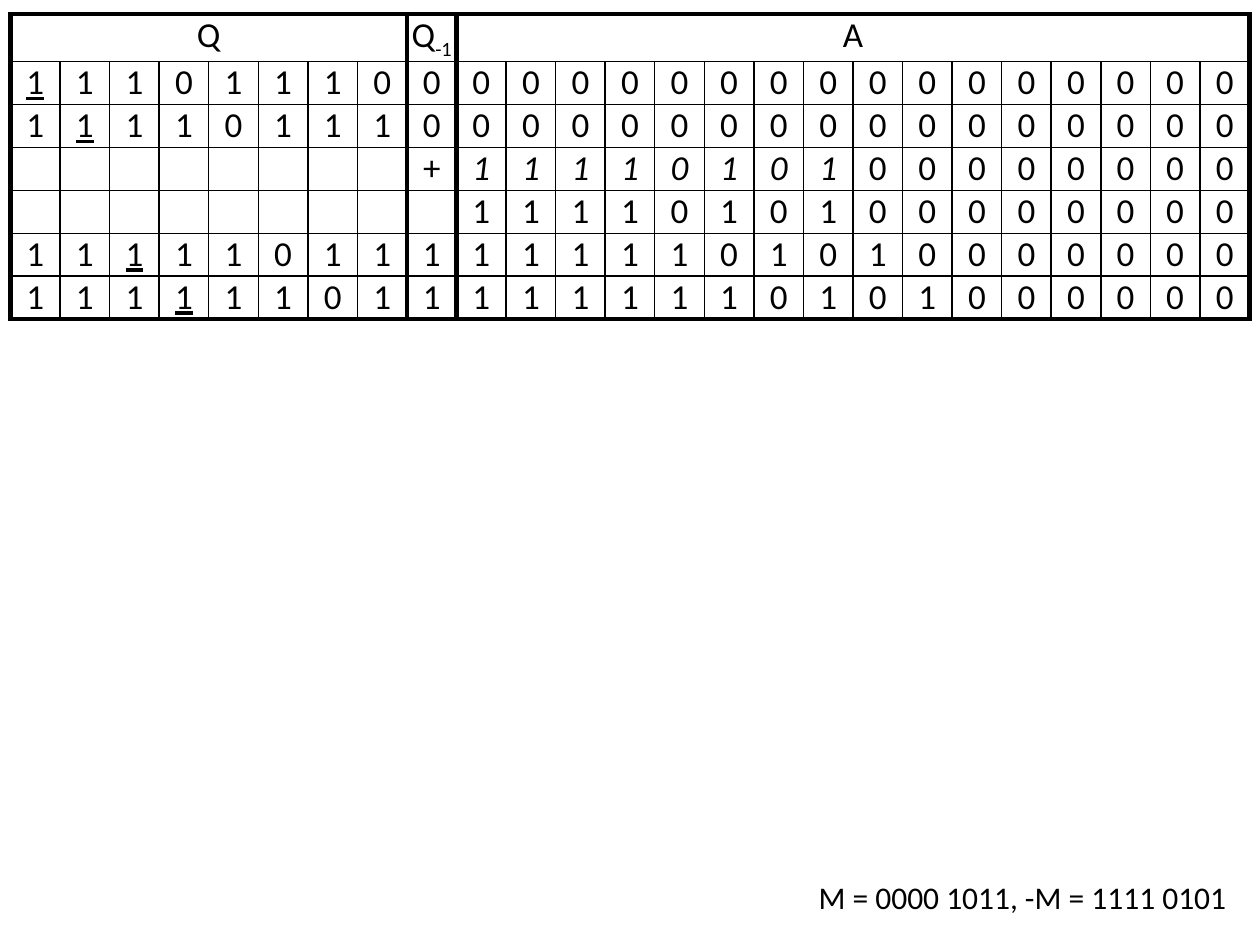
from lxml import etree
from pptx import Presentation
from pptx import util as u
from pptx.dml import color
from pptx.enum import text
from pptx.oxml import ns

# Header blocks as (label, subscript, column count)
BLOCKS = [("Q", "", 8), ("Q", "-1", 1), ("A", "", 16)]
BLOCK_EDGES = {0, 8, 9, 25}

# Steps as (Q, Q-1, A, underlined column, italic columns)
NONE = range(0)
STEPS = [
    ("11101110", "0", "0000000000000000", 0, NONE),
    ("11110111", "0", "0000000000000000", 1, NONE),
    (" " * 8, "+", "1111010100000000", None, range(9, 17)),
    (" " * 8, " ", "1111010100000000", None, NONE),
    ("11111011", "1", "1111101010000000", 2, NONE),
    ("11111101", "1", "1111110101000000", 3, NONE),
]


def rgb(value):
    return color.RGBColor.from_string(value)


class SlideBuilder:
    font = "Calibri"
    ink = "000000"
    thin, thick = 1, 3

    def __init__(self, slide):
        self.slide = slide

    def format_paragraph(self, paragraph, size, alignment):
        paragraph.alignment = alignment
        paragraph.font.name = self.font
        paragraph.font.size = u.Pt(size)
        paragraph.font.color.rgb = rgb(self.ink)

    def border(self, cell, side, width):
        properties = cell._tc.get_or_add_tcPr()
        line = etree.SubElement(properties, ns.qn(f"a:ln{side}"), w=str(u.Pt(width)))
        fill = etree.SubElement(line, ns.qn("a:solidFill"))
        etree.SubElement(fill, ns.qn("a:srgbClr"), val=self.ink)

    def format_cell(self, cell, left, right, top, bottom):
        cell.margin_left = cell.margin_right = 0
        cell.margin_top = cell.margin_bottom = 0
        for side, is_thick in zip("LRTB", (left, right, top, bottom)):
            self.border(cell, side, self.thick if is_thick else self.thin)
        cell.fill.background()
        self.format_paragraph(cell.text_frame.paragraphs[0], 20, text.PP_ALIGN.CENTER)

    def table(self, left, top, column_width, row_height):
        row_count = len(STEPS) + 1
        column_count = sum(count for _, _, count in BLOCKS)
        frame = self.slide.shapes.add_table(
            row_count, column_count, u.Pt(left), u.Pt(top),
            u.Pt(column_width * column_count), u.Pt(row_height * row_count))
        table = frame.table
        table.first_row = table.horz_banding = False
        for column in table.columns:
            column.width = u.Pt(column_width)
        for row in table.rows:
            row.height = u.Pt(row_height)

        for row in range(row_count):
            for column in range(column_count):
                header = row == 0
                self.format_cell(
                    table.cell(row, column),
                    header or column in BLOCK_EDGES,
                    header or column + 1 in BLOCK_EDGES,
                    header, row == row_count - 1)

        # Header row
        start = 0
        for label, subscript, count in BLOCKS:
            cell = table.cell(0, start)
            if count > 1:
                cell.merge(table.cell(0, start + count - 1))
            paragraph = cell.text_frame.paragraphs[0]
            paragraph.add_run().text = label
            if subscript:
                run = paragraph.add_run()
                run.text = subscript
                run._r.get_or_add_rPr().set("baseline", "-25000")
            start += count

        # Register bits
        for row, (q, q_last, a, underlined, italics) in enumerate(STEPS, 1):
            for column, bit in enumerate(q + q_last + a):
                if bit == " ":
                    continue
                paragraph = table.cell(row, column).text_frame.paragraphs[0]
                paragraph.add_run().text = bit
                if column == underlined:
                    paragraph.font.underline = True
                if column in italics:
                    paragraph.font.italic = True

    def note(self, words, left, top, width, height):
        box = self.slide.shapes.add_textbox(
            u.Pt(left), u.Pt(top), u.Pt(width), u.Pt(height))
        frame = box.text_frame
        frame.word_wrap = True
        frame.auto_size = text.MSO_AUTO_SIZE.SHAPE_TO_FIT_TEXT
        paragraph = frame.paragraphs[0]
        paragraph.add_run().text = words
        self.format_paragraph(paragraph, 18, text.PP_ALIGN.RIGHT)


def main():
    presentation = Presentation()
    presentation.slide_width = u.Pt(720)
    presentation.slide_height = u.Pt(540)
    blank_layout = presentation.slide_layouts[6]
    builder = SlideBuilder(presentation.slides.add_slide(blank_layout))

    # Multiplication steps
    builder.table(left=6, top=8, column_width=28.32, row_height=23)

    # Multiplicand
    builder.note("M = 0000 1011, -M = 1111 0101", 432, 498, 276, 29)

    presentation.save("out.pptx")


if __name__ == "__main__":
    main()
